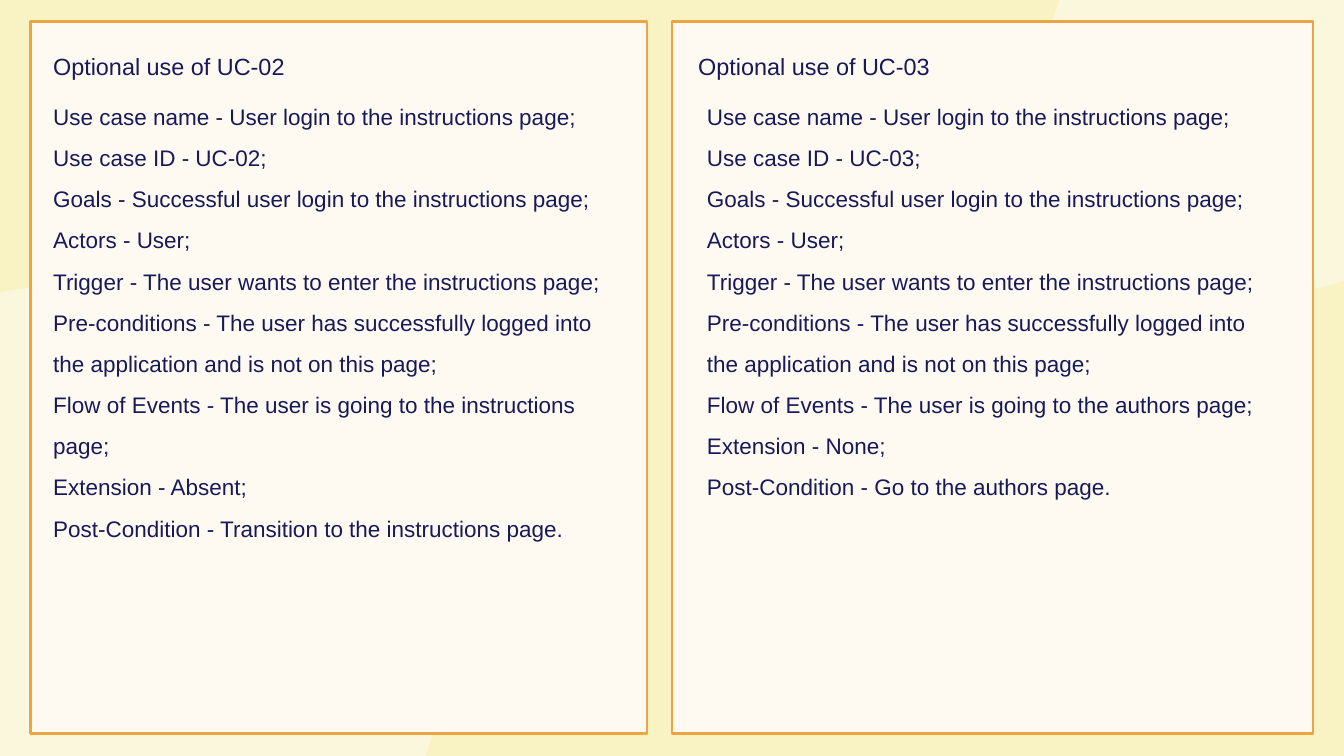
from lxml.etree import SubElement
from pptx import Presentation
from pptx.dml.color import RGBColor
from pptx.enum.shapes import MSO_SHAPE as Preset
from pptx.enum.text import MSO_ANCHOR as Anchor, MSO_AUTO_SIZE as AutoSize, PP_ALIGN as Align
from pptx.oxml.ns import qn
from pptx.util import Pt

COLORS = {"back": "F9F3C4", "circle": "FFFFFF", "panel": "FEFAF1",
          "border": "EBA545", "text": "171A59"}
COMPARISON_LAYOUT = 4
TEXT_WIDTH = 612.72


def color(name):
    return RGBColor.from_string(COLORS[name])


class PageBuilder:
    """Style of the deck and the page being filled."""
    font_name = "Arial"

    def __init__(self, page):
        self.page = page
        page.background.fill.solid()
        page.background.fill.fore_color.rgb = color("back")

    def shape(self, preset, fill, left, top, width, height):
        shape = self.page.shapes.add_shape(preset, Pt(left), Pt(top), Pt(width), Pt(height))
        shape.shadow.inherit = False
        shape.fill.solid()
        shape.fill.fore_color.rgb = color(fill)
        return shape

    def circle(self, left, top, width, height):
        circle = self.shape(Preset.OVAL, "circle", left, top, width, height)
        circle.line.fill.background()
        paint = circle.fill._xPr.find(qn("a:solidFill"))[0]
        SubElement(paint, qn("a:alpha"), val="41000")

    def panel(self, left, width):
        panel = self.shape(Preset.RECTANGLE, "panel", left, 23.04, width, 763.2)
        panel.line.color.rgb = color("border")
        panel.line.width = Pt(3)

    def text(self, index, lines, left, top, height, size, spacing):
        box = next(holder for holder in self.page.placeholders
                   if holder.placeholder_format.idx == index)
        # Bring the placeholder in front of the panels
        box.element.getparent().append(box.element)
        box.left, box.top = Pt(left), Pt(top)
        box.width, box.height = Pt(TEXT_WIDTH), Pt(height)
        frame = box.text_frame
        frame.text = "\n".join(lines)
        frame.word_wrap = True
        frame.auto_size = AutoSize.NONE
        frame.vertical_anchor = Anchor.TOP
        frame.margin_left = frame.margin_right = frame.margin_top = frame.margin_bottom = 0
        for para in frame.paragraphs:
            properties = para._p.get_or_add_pPr()
            properties.set("marL", "0")
            properties.set("indent", "0")
            SubElement(properties, qn("a:buNone"))
            para.alignment = Align.LEFT
            para.line_spacing = Pt(spacing)
            para.space_before = para.space_after = Pt(0)
            for span in para.runs:
                span.font.name = self.font_name
                span.font.size = Pt(size)
                span.font.bold = False
                span.font.color.rgb = color("text")

    def heading(self, index, title, left):
        self.text(index, [title], left, 39.6, 46.8, 25.1, 46)

    def details(self, index, lines, left):
        self.text(index, lines, left, 95.04, 571.68, 24.1, 44.1)


def use_case_lines(case_id, flow, extension, result):
    return [
        "Use case name - User login to the instructions page;",
        f"Use case ID - {case_id};",
        "Goals - Successful user login to the instructions page;",
        "Actors - User;",
        "Trigger - The user wants to enter the instructions page;",
        "Pre-conditions - The user has successfully logged into the application"
        " and is not on this page;",
        f"Flow of Events - The user is going to the {flow} page;",
        f"Extension - {extension};",
        f"Post-Condition - {result} page.",
    ]


def main():
    deck = Presentation()
    deck.slide_width, deck.slide_height = Pt(1440), Pt(810)
    page = deck.slides.add_slide(deck.slide_layouts[COMPARISON_LAYOUT])
    title = page.shapes.title.element
    title.getparent().remove(title)
    builder = PageBuilder(page)

    # Pale circles in the corners
    builder.circle(-314.64, 305.28, 791.28, 765.36)
    builder.circle(1120.32, -151.2, 480.96, 465.12)

    # Two use cases: panel left and width, heading left, details left, content
    use_cases = [
        (33.12, 660.24, 56.88, 56.88,
         ("UC-02", "instructions", "Absent", "Transition to the instructions")),
        (720, 686.88, 748.08, 757.44,
         ("UC-03", "authors", "None", "Go to the authors")),
    ]
    for column, (left, width, heading_left, details_left, content) in enumerate(use_cases):
        builder.panel(left, width)
        builder.heading(1 + 2 * column, f"Optional use of {content[0]}", heading_left)
        builder.details(2 + 2 * column, use_case_lines(*content), details_left)

    deck.save("out.pptx")


if __name__ == "__main__":
    main()
